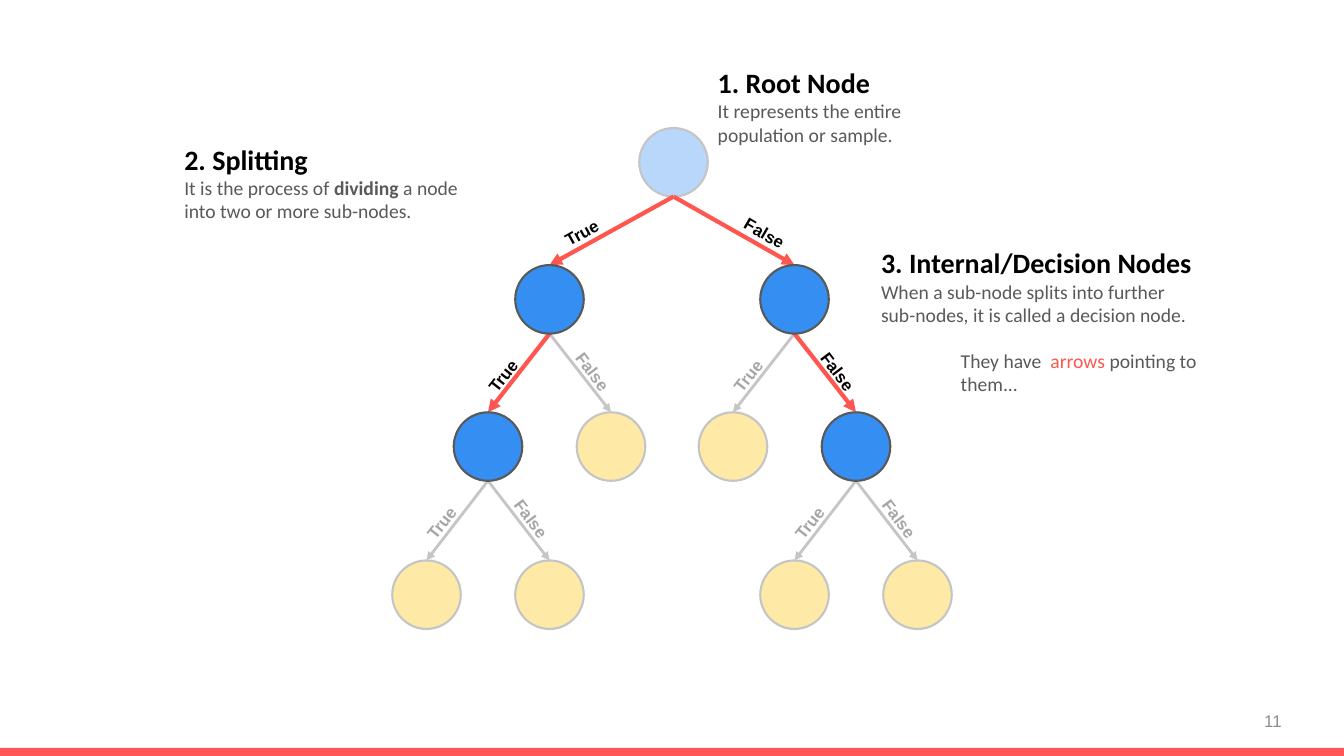
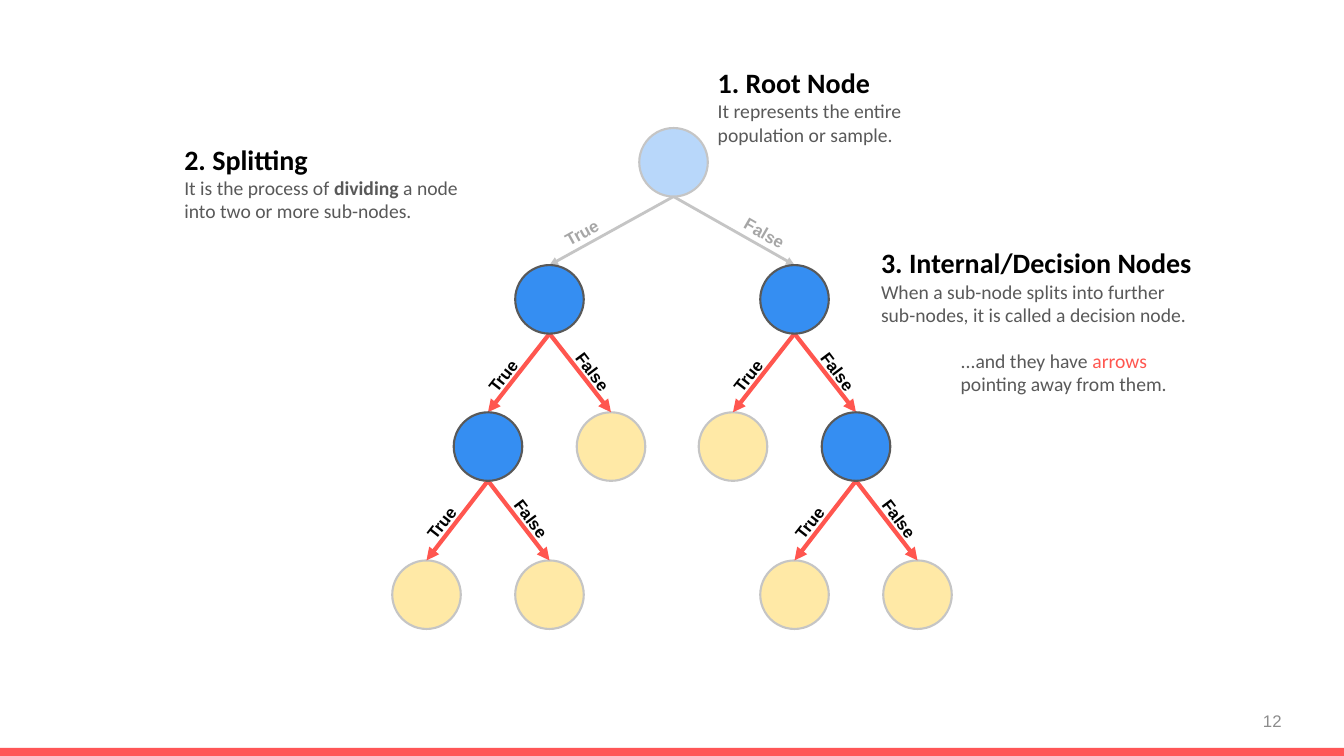
"""Builds two slides that explain the nodes of a decision tree."""
from lxml import etree
from pptx import Presentation
from pptx.dml.color import RGBColor
from pptx.enum.shapes import MSO_CONNECTOR, MSO_SHAPE
from pptx.enum.text import MSO_ANCHOR, MSO_AUTO_SIZE, PP_ALIGN
from pptx.oxml.ns import qn
from pptx.util import Inches, Pt

OVAL, RECTANGLE = MSO_SHAPE.OVAL, MSO_SHAPE.RECTANGLE
STRAIGHT = MSO_CONNECTOR.STRAIGHT
GROW, MIDDLE, RIGHT = MSO_AUTO_SIZE.SHAPE_TO_FIT_TEXT, MSO_ANCHOR.MIDDLE, PP_ALIGN.RIGHT

BLACK = RGBColor(0x00, 0x00, 0x00)
WHITE = RGBColor(0xFF, 0xFF, 0xFF)
GRAY = RGBColor(0x59, 0x59, 0x59)
PALE_GRAY = RGBColor(0x8C, 0x8C, 0x8C)
BLUE = RGBColor(0x35, 0x8E, 0xF2)
AMBER = RGBColor(0xFF, 0xC0, 0x00)
BAND_RED = RGBColor(0xFF, 0x56, 0x57)
ARROW_RED = RGBColor(0xFF, 0x56, 0x4F)

BODY_FONT, LABEL_FONT = "Calibri", "Arial"
NODE_SIZE = 0.68
STEP = 0.61
LEVELS = (1.27, 2.63, 4.09, 5.56)
ROOT_X, LEFT_X, RIGHT_X = 6.68, 5.45, 7.88

NODES = {
    "root": (ROOT_X, LEVELS[0]),
    "left": (LEFT_X, LEVELS[1]),
    "right": (RIGHT_X, LEVELS[1]),
    "left true": (LEFT_X - STEP, LEVELS[2]),
    "left false": (LEFT_X + STEP, LEVELS[2]),
    "right true": (RIGHT_X - STEP, LEVELS[2]),
    "right false": (RIGHT_X + STEP, LEVELS[2]),
    "left true true": (LEFT_X - 2 * STEP, LEVELS[3]),
    "left true false": (LEFT_X, LEVELS[3]),
    "right false true": (RIGHT_X, LEVELS[3]),
    "right false false": (RIGHT_X + 2 * STEP, LEVELS[3]),
}
SPLITS = {
    "root": ("left", "right"),
    "left": ("left true", "left false"),
    "right": ("right true", "right false"),
    "left true": ("left true true", "left true false"),
    "right false": ("right false true", "right false false"),
}
DECISIONS = [name for name in SPLITS if name != "root"]
LEAVES = [name for name in NODES if name not in SPLITS]
EDGES = [
    (parent, child, answer)
    for parent, children in SPLITS.items()
    for child, answer in zip(children, ("True", "False"))
]

LABEL_WIDTHS = {"True": 0.62, "False": 0.66}
ROOT_LABELS = {"True": (-0.88, 0.34, 331), "False": (0.92, 0.37, 30)}
LOWER_LABELS = {"True": (-0.44, 0.39, 308), "False": (0.44, 0.39, 53)}

NOTES = [
    ((7.02, 0.6, 2.15, 0.91), "1. Root Node",
     [("It represents the entire population or sample.", GRAY, False)]),
    ((1.73, 1.36, 3.07, 0.91), "2. Splitting",
     [("It is the process of ", GRAY, False), ("dividing", GRAY, True),
      (" a node into two or more sub-nodes.", GRAY, False)]),
    ((8.64, 2.39, 3.36, 0.91), "3. Internal/Decision Nodes",
     [("When a sub-node splits into further sub-nodes, it is called a decision node.",
       GRAY, False)]),
]


class TreeDeck:
    """Holds the deck style and the current page."""

    def __init__(self):
        self.deck = Presentation()
        self.deck.slide_width = Inches(13.33)
        self.deck.slide_height = Inches(7.5)
        self.page = None

    def add_page(self):
        self.page = self.deck.slides.add_slide(self.deck.slide_layouts[6])
        self.shape(RECTANGLE, (0, 7.42, 13.33, 0.08), BAND_RED)

    def shape(self, preset, area, fill, outlined=False):
        shape = self.page.shapes.add_shape(preset, *map(Inches, area))
        shape.shadow.inherit = False
        shape.fill.solid()
        shape.fill.fore_color.rgb = fill
        if outlined:
            shape.line.color.rgb = GRAY
            shape.line.width = Pt(1.5)
        else:
            shape.line.fill.background()
        return shape

    def node(self, name, fill):
        x, top = NODES[name]
        self.shape(OVAL, (x - NODE_SIZE / 2, top, NODE_SIZE, NODE_SIZE), fill, True)

    def veil(self):
        veil = self.shape(RECTANGLE, (2.96, 1.17, 7.41, 5.19), WHITE)
        color = veil.fill._xPr.find(".//" + qn("a:srgbClr"))
        etree.SubElement(color, qn("a:alpha"), val="65000")

    def arrow(self, parent, child, highlighted):
        x, top = NODES[parent]
        end_x, end_y = NODES[child]
        ends = map(Inches, (x, top + NODE_SIZE, end_x, end_y))
        arrow = self.page.shapes.add_connector(STRAIGHT, *ends)
        arrow.line.color.rgb = ARROW_RED if highlighted else GRAY
        arrow.line.width = Pt(3 if highlighted else 2)
        etree.SubElement(arrow.line._get_or_add_ln(), qn("a:tailEnd"), type="triangle")
        etree.SubElement(arrow._element.spPr, qn("a:effectLst"))

    def text_box(self, area, wrap=True):
        box = self.page.shapes.add_textbox(*map(Inches, area))
        box.text_frame.word_wrap = wrap
        return box

    def span(self, para, text, size, color, bold=False, font=BODY_FONT):
        span = para.add_run()
        span.text = text
        span.font.name = font
        span.font.size = Pt(size)
        span.font.bold = bold
        span.font.color.rgb = color

    def edge_label(self, parent, answer):
        x, top = NODES[parent]
        offsets = ROOT_LABELS if parent == "root" else LOWER_LABELS
        across, down, angle = offsets[answer]
        width, height = LABEL_WIDTHS[answer], 0.3
        left = x + across - width / 2
        box = self.text_box((left, top + NODE_SIZE + down - height / 2, width, height), False)
        box.text_frame.auto_size = GROW
        box.rotation = angle
        self.span(box.text_frame.paragraphs[0], answer, 12, BLACK, True, LABEL_FONT)

    def edges(self, edges, highlighted):
        for parent, child, _ in edges:
            self.arrow(parent, child, highlighted)
        for parent, _, answer in edges:
            self.edge_label(parent, answer)

    def note(self, area, title, spans):
        frame = self.text_box(area).text_frame
        frame.auto_size = GROW
        para = frame.paragraphs[0]
        if title:
            self.span(para, title, 20, BLACK, True)
            para = frame.add_paragraph()
        for text, color, bold in spans:
            self.span(para, text, 14, color, bold)

    def page_number(self, number):
        frame = self.text_box((9.81, 6.95, 3, 0.4)).text_frame
        frame.vertical_anchor = MIDDLE
        para = frame.paragraphs[0]
        para.alignment = RIGHT
        self.span(para, str(number), 12, PALE_GRAY, font=LABEL_FONT)

    def tree_page(self, number, highlighted, before, after):
        self.add_page()
        for name in LEAVES:
            self.node(name, AMBER)
        self.edges([edge for edge in EDGES if edge not in highlighted], False)
        self.node("root", BLUE)
        self.veil()
        self.edges(highlighted, True)
        for name in DECISIONS:
            self.node(name, BLUE)
        for note in NOTES:
            self.note(*note)
        self.note((9.43, 3.41, 2.58, 0.57), None, [
            (before, GRAY, False), ("arrows ", ARROW_RED, False), (after, GRAY, False)])
        self.page_number(number)


def main():
    tree = TreeDeck()
    incoming = [edge for edge in EDGES if edge[1] in DECISIONS]
    outgoing = [edge for edge in EDGES if edge[0] in DECISIONS]
    tree.tree_page(11, incoming, "They have  ", "pointing to them...")
    tree.tree_page(12, outgoing, "...and they have ", "pointing away from them.")
    tree.deck.save("out.pptx")


if __name__ == "__main__":
    main()
